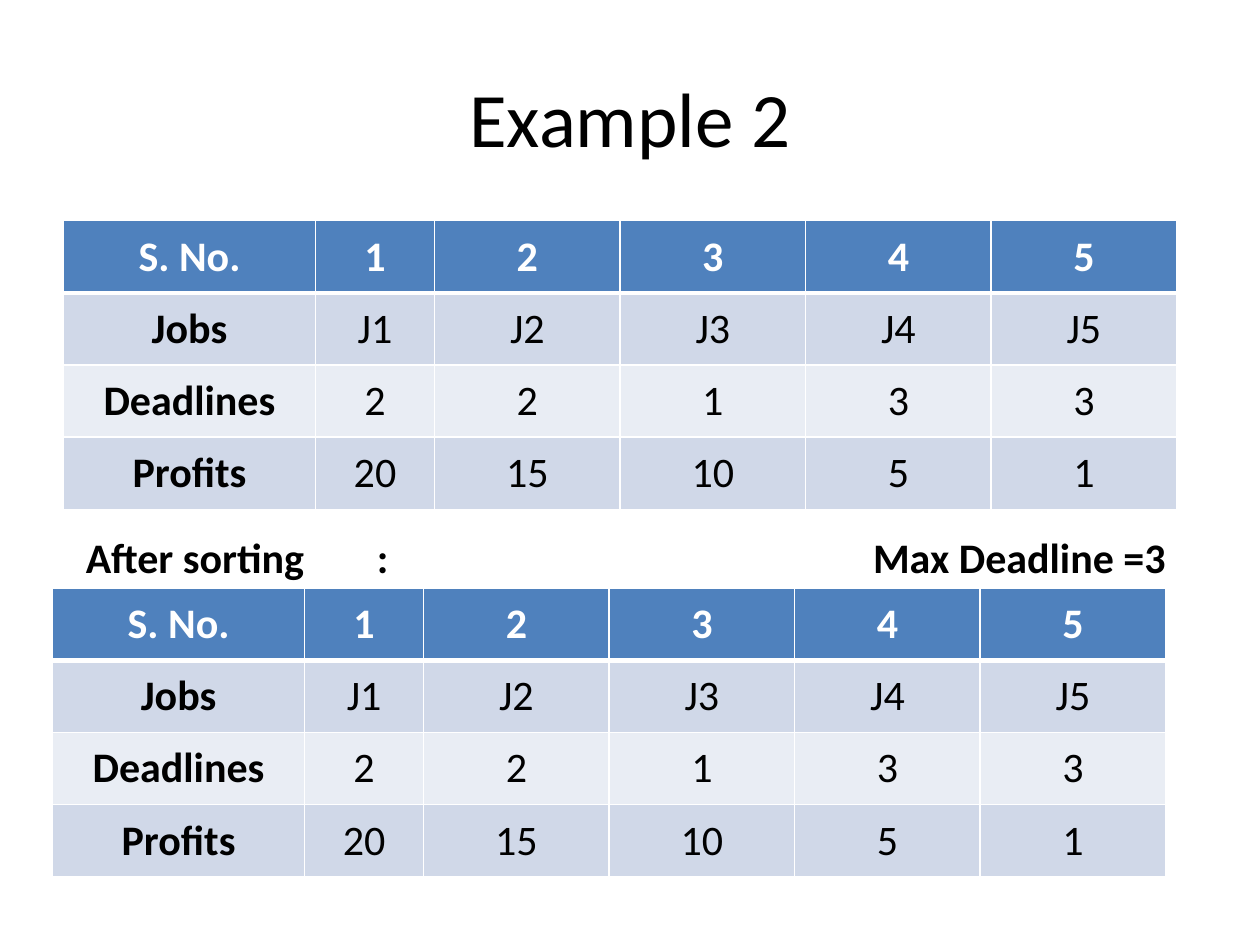
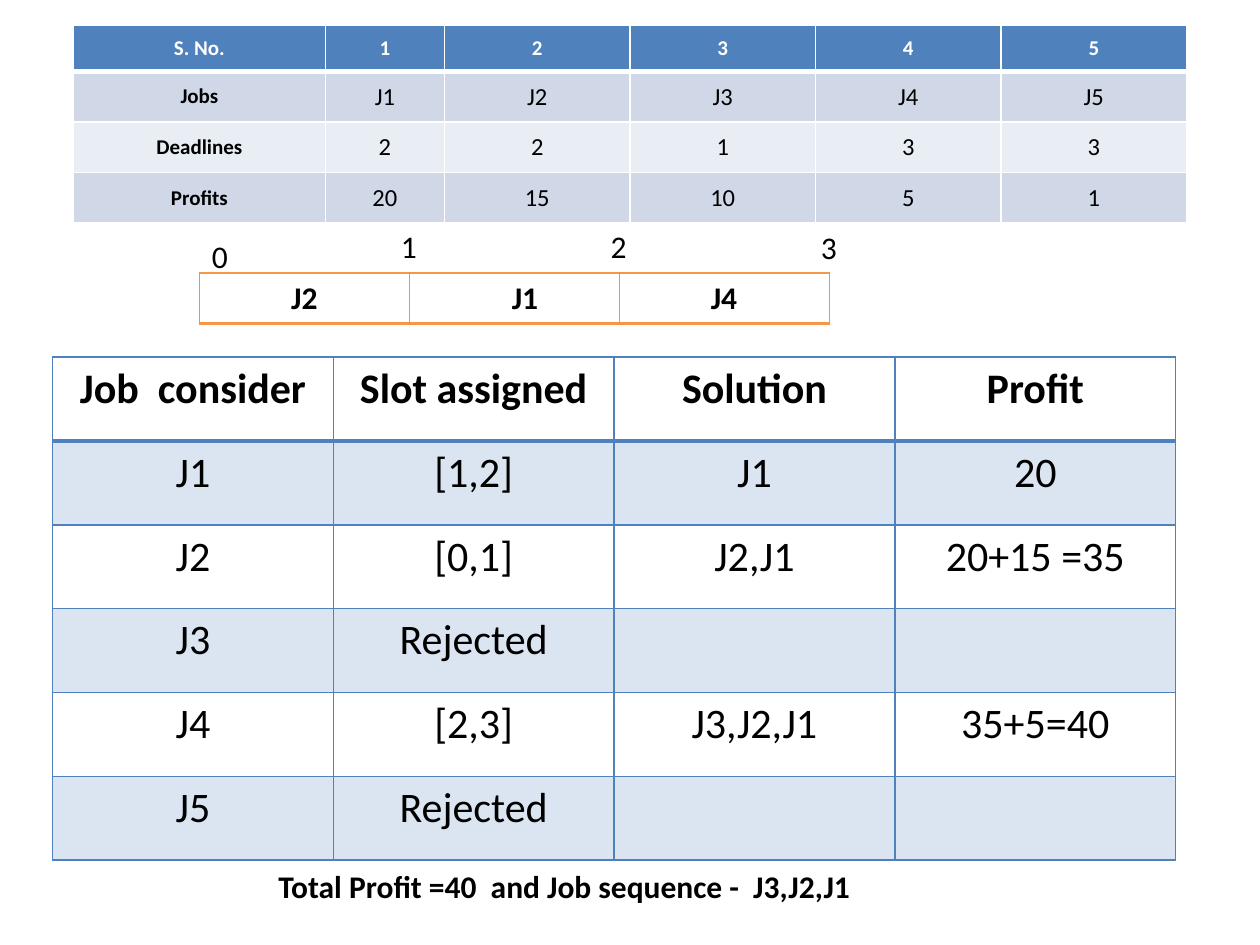
from lxml.etree import SubElement
from pptx import Presentation
from pptx.dml.color import RGBColor
from pptx.enum.text import MSO_ANCHOR, PP_ALIGN
from pptx.oxml import parse_xml
from pptx.oxml.ns import nsdecls, qn
from pptx.util import Cm, Pt

FONT = "Calibri"
BLACK = RGBColor(0x00, 0x00, 0x00)
WHITE = RGBColor(0xFF, 0xFF, 0xFF)
BLUE = RGBColor(0x4F, 0x81, 0xBD)
BAND = RGBColor(0xD0, 0xD8, 0xE8)
PALE = RGBColor(0xE9, 0xED, 0xF4)
TINT = RGBColor(0xDB, 0xE5, 0xF1)
ORANGE = RGBColor(0xF7, 0x96, 0x46)
GREY = RGBColor(0xA6, 0xA6, 0xA6)

JOBS = [
    ["S. No.", "1", "2", "3", "4", "5"],
    ["Jobs", "J1", "J2", "J3", "J4", "J5"],
    ["Deadlines", "2", "2", "1", "3", "3"],
    ["Profits", "20", "15", "10", "5", "1"],
]
STEPS = [
    ["Job  consider", "Slot assigned", "Solution", "Profit"],
    ["J1", "[1,2]", "J1", "20"],
    ["J2", "[0,1]", "J2,J1", "20+15 =35"],
    ["J3", "Rejected", "", ""],
    ["J4", "[2,3]", "J3,J2,J1", "35+5=40"],
    ["J5", "Rejected", "", ""],
]
WIDTHS = [5.08, 2.4] + [3.74] * 4
# Each look: fill and ink of the header, fills of the body rows,
# then colour and width of the side, row and header lines
JOB_LOOK = dict(head=BLUE, ink=WHITE, bands=[BAND, PALE], side=(WHITE, 1),
                rule=(WHITE, 1), heavy=(WHITE, 3), lead=True, pad=0.21)
STEP_LOOK = dict(head=None, ink=BLACK, bands=[TINT, None], side=(BLUE, 1),
                 rule=(BLUE, 1), heavy=(BLUE, 2))
SLOT_LOOK = dict(head=None, ink=BLACK, bands=[None], side=(GREY, 0.5),
                 rule=(ORANGE, 1), heavy=(ORANGE, 2))


def write(para, text, size, ink=BLACK, bold=False):
    run = para.add_run()
    run.text = text
    run.font.name = FONT
    run.font.size = Pt(size)
    run.font.bold = bold
    run.font.color.rgb = ink


def grid(slide, left, top, widths, heights, rows, sizes, head, ink, bands,
         side, rule, heavy, lead=False, pad=None):
    """Add a table; sizes are those of bold and plain text, lead bolds column one."""
    table = slide.shapes.add_table(
        len(rows), len(widths), Cm(left), Cm(top),
        Cm(sum(widths)), Cm(sum(heights))).table
    table.horz_banding = False
    for col, width in zip(table.columns, widths):
        col.width = Cm(width)
    for r, row in enumerate(rows):
        table.rows[r].height = Cm(heights[r])
        fill = bands[(r - 1) % len(bands)] if r else head
        upper = heavy if r == 1 else rule
        lower = rule if r else heavy
        for c, text in enumerate(row):
            cell = table.cell(r, c)
            if pad:
                cell.margin_left = cell.margin_right = Cm(pad)
                cell.margin_top = cell.margin_bottom = Cm(pad)
                cell.vertical_anchor = MSO_ANCHOR.MIDDLE
            para = cell.text_frame.paragraphs[0]
            para.alignment = PP_ALIGN.CENTER
            bold = r == 0 or (lead and c == 0)
            if text:
                write(para, text, sizes[0 if bold else 1],
                      BLACK if r else ink, bold)
            props = cell._tc.get_or_add_tcPr()
            for tag, (tone, weight) in zip(
                    ["lnL", "lnR", "lnT", "lnB"], [side, side, upper, lower]):
                line = SubElement(props, qn("a:" + tag), w=str(Pt(weight)))
                line.append(parse_xml(
                    f'<a:solidFill {nsdecls("a")}>'
                    f'<a:srgbClr val="{tone}"/></a:solidFill>'))
            if fill is None:
                cell.fill.background()
            else:
                cell.fill.solid()
                cell.fill.fore_color.rgb = fill
    return table


deck = Presentation()
deck.slide_width, deck.slide_height = Cm(25.4), Cm(19.05)

# Slide 1: jobs before and after sorting
slide = deck.slides.add_slide(deck.slide_layouts[5])
title = slide.shapes.title
title.left, title.top = Cm(1.27), Cm(0.76)
title.width, title.height = Cm(22.86), Cm(3.18)
title.text_frame.vertical_anchor = MSO_ANCHOR.MIDDLE
para = title.text_frame.paragraphs[0]
para.alignment = PP_ALIGN.CENTER
write(para, "Example 2", 44)

for left, top in [(1.28, 4.45), (1.06, 11.86)]:
    grid(slide, left, top, WIDTHS, [1.45] * 4, JOBS, [24, 24], **JOB_LOOK)

box = slide.shapes.add_textbox(Cm(1.48), Cm(10.58), Cm(22.68), Cm(1.28))
box.text_frame.word_wrap = True
para = box.text_frame.paragraphs[0]
tabs = SubElement(para._p.get_or_add_pPr(), qn("a:tabLst"))
for stop in [5.87, 15.87]:
    SubElement(tabs, qn("a:tab"), pos=str(Cm(stop)), algn="l")
write(para, "After sorting\t:\tMax Deadline =3", 24, bold=True)

# Slide 2: slots given to the jobs, step by step
slide = deck.slides.add_slide(deck.slide_layouts[6])
grid(slide, 1.06, 7.2, [5.66] * 4, [1.69] * 6, STEPS, [24, 24], **STEP_LOOK)
grid(slide, 1.48, 0.51, WIDTHS, [0.93] + [1.02] * 3, JOBS, [12, 14], **JOB_LOOK)
slots = grid(slide, 4.02, 5.5, [4.23] * 3, [1.03], [["J2", "J1", "J4"]],
             [18, 18], **SLOT_LOOK)
slots.cell(0, 1).margin_left = Cm(0.69)

for mark, (left, top) in enumerate(
        [(4.02, 4.66), (7.83, 4.45), (12.06, 4.45), (16.3, 4.47)]):
    box = slide.shapes.add_textbox(Cm(left), Cm(top), Cm(0.85), Cm(1.03))
    box.text_frame.word_wrap = True
    write(box.text_frame.paragraphs[0], str(mark), 18)

box = slide.shapes.add_textbox(Cm(5.3), Cm(17.36), Cm(12.16), Cm(1.03))
box.text_frame.word_wrap = False
para = box.text_frame.paragraphs[0]
para.alignment = PP_ALIGN.CENTER
write(para, "Total Profit =40  and Job sequence -  J3,J2,J1", 18, bold=True)

deck.save("out.pptx")
